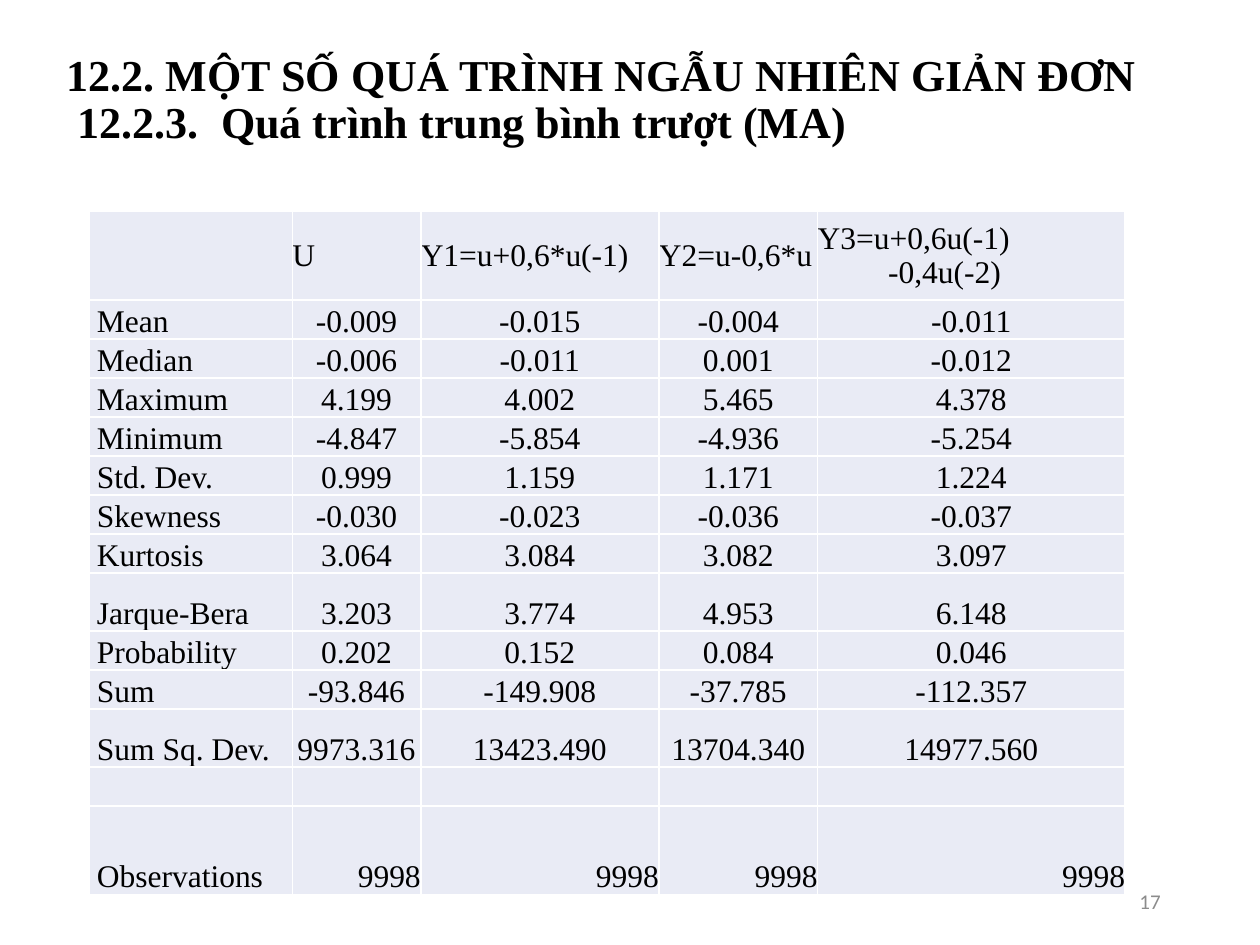
from dataclasses import dataclass

from pptx import Presentation
from pptx.dml.color import RGBColor
from pptx.enum.text import MSO_ANCHOR, MSO_AUTO_SIZE, PP_ALIGN
from pptx.util import Inches, Pt

LEFT, CENTER, RIGHT = PP_ALIGN.LEFT, PP_ALIGN.CENTER, PP_ALIGN.RIGHT
MIDDLE, BOTTOM = MSO_ANCHOR.MIDDLE, MSO_ANCHOR.BOTTOM


@dataclass(frozen=True)
class Theme:
    serif: str = "Times New Roman"
    sans: str = "Calibri"
    ink: RGBColor = RGBColor(0x00, 0x00, 0x00)
    muted: RGBColor = RGBColor(0x8C, 0x8C, 0x8C)
    cell: RGBColor = RGBColor(0xE9, 0xEB, 0xF5)
    title_size: float = 25.2
    table_size: float = 18
    number_size: float = 12


THEME = Theme()


def format_text(frame, font, size, color, align, bold=False):
    for paragraph in frame.paragraphs:
        paragraph.alignment = align
        for run in paragraph.runs:
            run.font.name = font
            run.font.size = Pt(size)
            run.font.bold = bold
            run.font.color.rgb = color


prs = Presentation()
prs.slide_width, prs.slide_height = Inches(10), Inches(7.5)
slide = prs.slides.add_slide(prs.slide_layouts[5])

# Title
title = slide.shapes.title
title.left, title.top = Inches(0.43), Inches(0.29)
title.width, title.height = Inches(8.99), Inches(1.02)
heading = title.text_frame
heading.text = ("12.2. MỘT SỐ QUÁ TRÌNH NGẪU NHIÊN GIẢN ĐƠN\v"
                " 12.2.3.  Quá trình trung bình trượt (MA)")
heading.auto_size = MSO_AUTO_SIZE.NONE
heading.vertical_anchor = MIDDLE
heading.paragraphs[0].line_spacing = 0.9
format_text(heading, THEME.serif, THEME.title_size, THEME.ink, LEFT, bold=True)

# Slide number
page_number = slide.shapes.add_textbox(
    Inches(7.06), Inches(6.95), Inches(2.25), Inches(0.4)).text_frame
page_number.word_wrap = True
page_number.vertical_anchor = MIDDLE
page_number.text = "17"
format_text(page_number, THEME.sans, THEME.number_size, THEME.muted, RIGHT)

# Descriptive statistics
statistics = [
    ("", "U", "Y1=u+0,6*u(-1)", "Y2=u-0,6*u", "Y3=u+0,6u(-1)\v-0,4u(-2)"),
    ("Mean", "-0.009", "-0.015", "-0.004", "-0.011"),
    ("Median", "-0.006", "-0.011", "0.001", "-0.012"),
    ("Maximum", "4.199", "4.002", "5.465", "4.378"),
    ("Minimum", "-4.847", "-5.854", "-4.936", "-5.254"),
    ("Std. Dev.", "0.999", "1.159", "1.171", "1.224"),
    ("Skewness", "-0.030", "-0.023", "-0.036", "-0.037"),
    ("Kurtosis", "3.064", "3.084", "3.082", "3.097"),
    ("Jarque-Bera", "3.203", "3.774", "4.953", "6.148"),
    ("Probability", "0.202", "0.152", "0.084", "0.046"),
    ("Sum", "-93.846", "-149.908", "-37.785", "-112.357"),
    ("Sum Sq. Dev.", "9973.316", "13423.490", "13704.340", "14977.560"),
    ("",) * 5,
    ("Observations",) + ("9998",) * 4,
]
column_widths = [1.61, 1.02, 1.89, 1.26, 2.44]
row_height = 0.31
tall_rows = {"Jarque-Bera": 0.46, "Sum Sq. Dev.": 0.46, "Observations": 0.7}

table = slide.shapes.add_table(
    len(statistics), len(column_widths),
    Inches(0.71), Inches(1.68), Inches(8.23), Inches(5.37)).table
table.first_row = False
table.horz_banding = False
for column, width in zip(table.columns, column_widths):
    column.width = Inches(width)

for r, values in enumerate(statistics):
    is_header = r == 0
    height = 0.7 if is_header else tall_rows.get(values[0], row_height)
    table.rows[r].height = Inches(height)
    for c, value in enumerate(values):
        cell = table.cell(r, c)
        cell.fill.solid()
        cell.fill.fore_color.rgb = THEME.cell
        cell.margin_top = cell.margin_bottom = cell.margin_right = 0
        cell.margin_left = Inches(0.06) if c == 0 else 0
        cell.vertical_anchor = MIDDLE if is_header else BOTTOM
        cell.text_frame.text = value
        if is_header or c == 0:
            align = LEFT
        else:
            align = RIGHT if values[0] == "Observations" else CENTER
        format_text(cell.text_frame, THEME.serif, THEME.table_size, THEME.ink, align)

# Hanging indent sets the second line of the Y3 formula to the right
y3_properties = table.cell(0, 4).text_frame.paragraphs[0]._p.get_or_add_pPr()
y3_properties.set("marL", str(Inches(0.56)))
y3_properties.set("indent", str(-Inches(0.56)))

prs.save("out.pptx")
